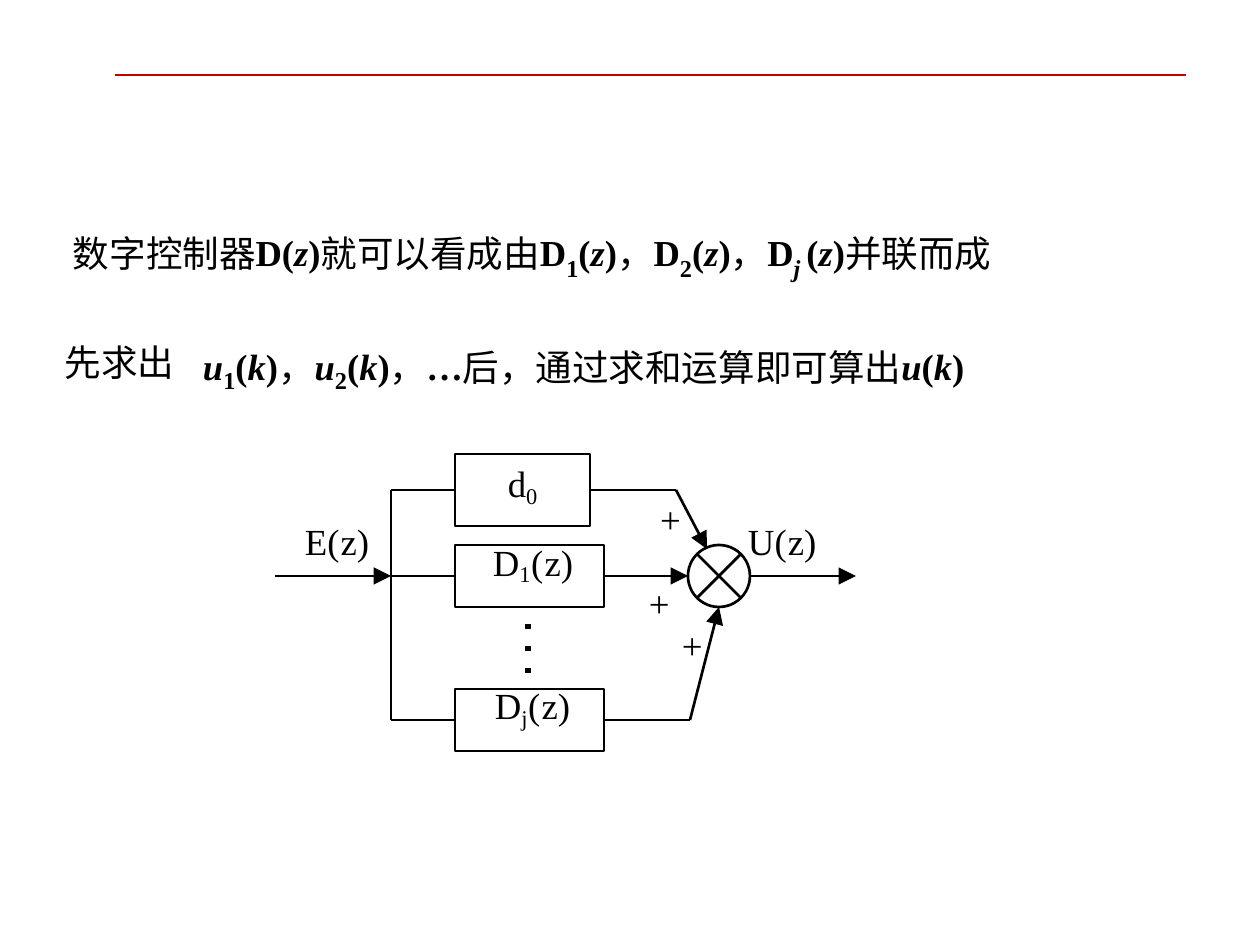
from lxml.etree import SubElement
from pptx import Presentation
from pptx.dml.color import RGBColor
from pptx.enum.shapes import MSO_CONNECTOR, MSO_SHAPE
from pptx.enum.text import MSO_ANCHOR, PP_ALIGN
from pptx.oxml.ns import qn
from pptx.util import Emu, Pt

SCALE = 914400 / 126
BLACK, WHITE, RED = "000000", "FFFFFF", "C00000"
LATIN, HAN = "Times New Roman", "Arial"


def px(num):
    return Emu(round(num * SCALE))


def color(code):
    return RGBColor.from_string(code)


def put(para, text, size=21, face=LATIN, bold=False, slant=False, base=0, gap=0):
    """Add one run; base is a percent shift, gap is letter spacing in points."""
    run = para.add_run()
    run.text = text
    font = run.font
    font.size, font.name = Pt(size), face
    font.bold, font.italic = bold, slant
    font.color.rgb = color(BLACK)
    props = font._element
    SubElement(props, qn("a:ea")).set("typeface", face)
    if base:
        props.set("baseline", str(base * 1000))
    if gap:
        props.set("spc", str(round(gap * 100)))


def han(text, base):
    return text, dict(size=36, face=HAN, base=base)


def bold(text, base, slant=False):
    return text, dict(size=36, bold=True, slant=slant, base=base)


def term(name, sub, arg, base, slant=False, tilt=False):
    """Runs of a bold term such as D1(z); tilt slants the subscript."""
    runs = [bold(name, base, slant)]
    if sub:
        runs.append((sub, dict(size=24, bold=True, slant=tilt, base=-11)))
    return runs + [bold("(", base), bold(arg, base, True), bold(")", base)]


def block(name, sub, arg=""):
    """Runs of a plain block name such as D1(z)."""
    runs = [(name, {}), (sub, dict(size=22, base=-18, gap=0.3))]
    if arg:
        runs += [("(", dict(gap=0.7)), (arg + ")", {})]
    return runs


class Board:
    def __init__(self, slide, width=1.53):
        self.shapes = slide.shapes
        self.width = width

    def fill(self, frame, runs, lead, align=PP_ALIGN.LEFT, left=0, top=0):
        frame.word_wrap = True
        frame.vertical_anchor = MSO_ANCHOR.TOP
        frame.margin_left, frame.margin_top = px(left), px(top)
        frame.margin_right = frame.margin_bottom = 0
        para = frame.paragraphs[0]
        para.alignment, para.line_spacing = align, Pt(lead)
        for text, form in runs:
            put(para, text, **form)

    def label(self, x, y, w, h, runs, lead=22.6):
        box = self.shapes.add_textbox(px(x), px(y), px(w), px(h))
        self.fill(box.text_frame, runs, lead)

    def shape(self, kind, x, y, w, h):
        item = self.shapes.add_shape(kind, px(x), px(y), px(w), px(h))
        item.shadow.inherit = False
        item.fill.solid()
        item.fill.fore_color.rgb = color(WHITE)
        item.line.color.rgb = color(BLACK)
        item.line.width = Pt(self.width)
        return item

    def box(self, x, y, w, h, runs, **form):
        item = self.shape(MSO_SHAPE.RECTANGLE, x, y, w, h)
        self.fill(item.text_frame, runs, 24.2, **form)
        return item

    def line(self, x1, y1, x2, y2, start=None, end=None, head=False,
             width=None, tint=BLACK):
        item = self.shapes.add_connector(
            MSO_CONNECTOR.STRAIGHT, px(x1), px(y1), px(x2), px(y2))
        item.line.color.rgb = color(tint)
        item.line.width = Pt(width or self.width)
        if head:
            SubElement(item.line._get_or_add_ln(), qn("a:tailEnd"),
                       type="triangle", w="lg", len="lg")
        SubElement(item._element.spPr, qn("a:effectLst"))
        if start:
            item.begin_connect(start, 3)
        if end:
            item.end_connect(end, 1)


def main():
    deck = Presentation()
    deck.slide_width, deck.slide_height = px(1260), px(945)
    board = Board(deck.slides.add_slide(deck.slide_layouts[6]))

    # Header rule
    board.line(115, 75, 1186, 75, width=1.5, tint=RED)

    # Statement lines
    comma = han("，", 8)
    board.label(73, 229, 1111, 58, [
        han("数字控制器", 8), *term("D", "", "z", 10), han("就可以看成由", 8),
        *term("D", "1", "z", 10), comma, *term("D", "2", "z", 10), comma,
        *term("D", "j ", "z", 10, tilt=True), han("并联而成", 8)], 32.2)
    board.label(65, 343, 138, 45, [han("先求出", -3)], 25.1)
    comma = han("，", 6)
    board.label(203, 343, 892, 55, [
        *term("u", "1", "k", 7, True), comma, *term("u", "2", "k", 7, True),
        comma, bold("…", 7), han("后，通过求和运算即可算出", 6),
        *term("u", "", "k", 7, True)], 31.2)

    # Parallel blocks and summing point
    left, bus, mid = 455, 391, 576
    gain = board.box(left, 454, 135, 72, block("d", "0"),
                     align=PP_ALIGN.CENTER, top=12)
    first = board.box(left, 545, 149, 62, block("D", "1", "z"), left=38)
    last = board.box(left, 689, 149, 62, block("D", "j", "z"), left=40)
    board.shape(MSO_SHAPE.FLOWCHART_SUMMING_JUNCTION, 688, 545, 62, 62)

    # Input bus and branches
    board.line(275, mid, bus, mid, head=True)
    board.line(bus, 490, bus, 720)
    for item, y in (gain, 490), (first, mid), (last, 720):
        board.line(bus, y, left, y, end=item)

    # Paths into and out of the sum
    board.line(590, 490, 676, 490, start=gain)
    board.line(676, 490, 707, 549, head=True)
    board.line(604, mid, 688, mid, start=first, head=True)
    board.line(604, 720, 690, 720, start=last)
    board.line(690, 720, 719, 607, head=True)
    board.line(750, mid, 856, mid, head=True)

    # Dots between blocks
    for row in range(3):
        y = 624 + 22 * row
        board.line(528, y, 528, y + 5, width=3)

    # Signal names and signs
    for name, gap, x in ("E", -0.6, 305), ("U", -1.4, 748):
        board.label(x, 523, 77, 40,
                    [(name, dict(gap=gap)), ("(", dict(gap=0.6)), ("z)", {})])
    for x, y in (660, 501), (649, 585), (682, 627):
        board.label(x, y, 33, 40, [("+", {})])

    deck.save("out.pptx")


if __name__ == "__main__":
    main()
